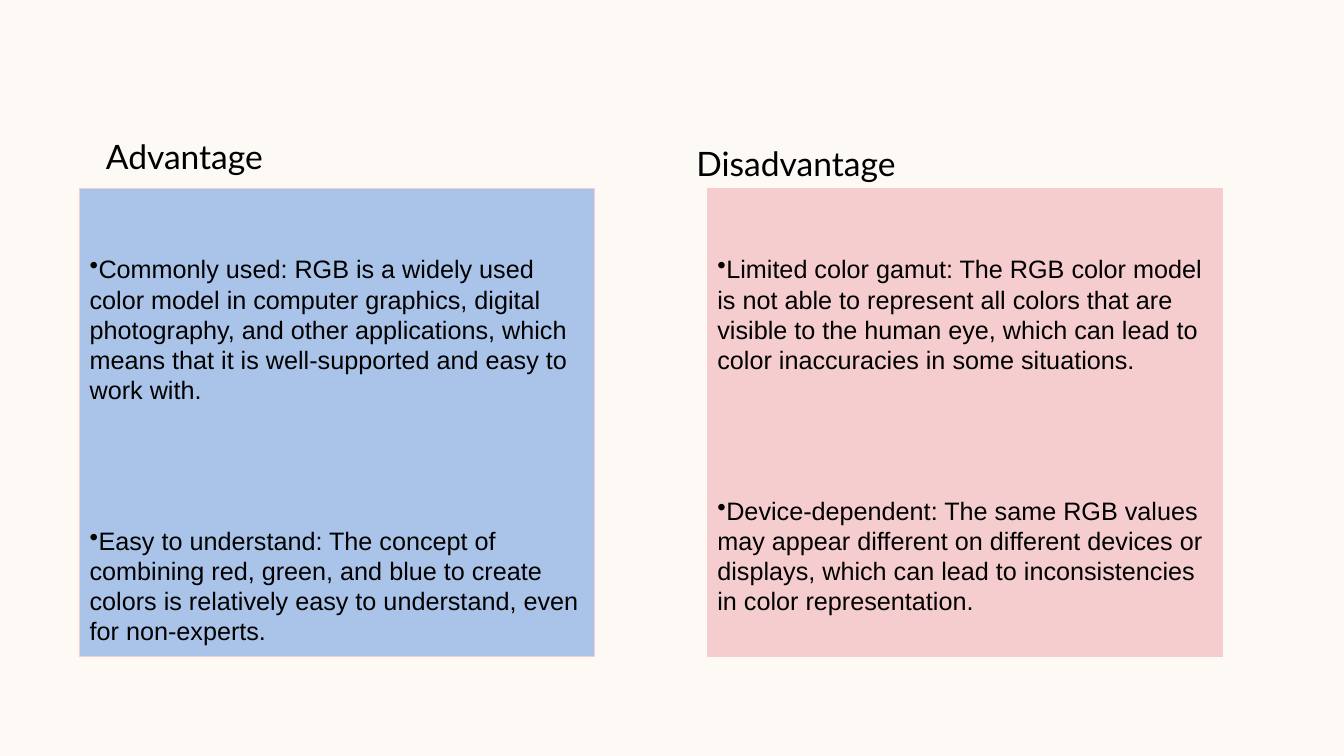
from pptx import Presentation, util as u
from pptx.dml.color import RGBColor
from pptx.enum import shapes, text
from pptx.oxml import parse_xml
from pptx.oxml.ns import nsdecls

PANEL_TOP, PANEL_WIDTH, PANEL_HEIGHT = 4.75, 12.98, 11.79
COLUMNS = [
    ("Advantage", 2.01, (0.41, -1.45), "AAC4E9", [
        "Commonly used: RGB is a widely used color model in computer graphics, digital photography, "
        "and other applications, which means that it is well-supported and easy to work with.",
        "Easy to understand: The concept of combining red, green, and blue to create colors is "
        "relatively easy to understand, even for non-experts.",
    ]),
    ("Disadvantage", 17.83, (-0.53, -1.27), "F5CDCE", [
        "Limited color gamut: The RGB color model is not able to represent all colors that are "
        "visible to the human eye, which can lead to color inaccuracies in some situations.",
        "Device-dependent: The same RGB values may appear different on different devices or "
        "displays, which can lead to inconsistencies in color representation.",
    ]),
]


def color(hex_string):
    """Return the colour of a hex string."""
    return RGBColor.from_string(hex_string)


def set_font(paragraph, name, size):
    """Set black type on a paragraph."""
    paragraph.font.name = name
    paragraph.font.size = u.Pt(size)
    paragraph.font.color.rgb = color("000000")


def add_heading(slide, left, top, words):
    """Add the heading of a column."""
    shape = slide.shapes.add_textbox(u.Cm(left), u.Cm(top), u.Cm(12.57), u.Cm(1.27))
    shape.text_frame.word_wrap = True
    paragraph = shape.text_frame.paragraphs[0]
    paragraph.text = words
    set_font(paragraph, "Lato", 24)


def add_panel(slide, left, top, width, height, fill, points):
    """Add a filled panel with bulleted points."""
    shape = slide.shapes.add_shape(
        shapes.MSO_SHAPE.RECTANGLE, u.Cm(left), u.Cm(top), u.Cm(width), u.Cm(height))
    shape.shadow.inherit = False
    shape.fill.solid()
    shape.fill.fore_color.rgb = color(fill)
    shape.line.color.rgb = color("F5CDCE")
    shape.line.width = u.Pt(0.75)
    frame = shape.text_frame
    frame.word_wrap = True
    frame.vertical_anchor = text.MSO_ANCHOR.TOP
    frame.margin_top = u.Cm(1.65)
    for index, point in enumerate(points):
        paragraph = frame.add_paragraph() if index else frame.paragraphs[0]
        paragraph.text = point
        paragraph.alignment = text.PP_ALIGN.LEFT
        paragraph.line_spacing = u.Pt(21.5)
        if index:
            paragraph.space_before = u.Pt(86.4)
        properties = paragraph._p.get_or_add_pPr()
        properties.set("marL", "0")
        properties.set("indent", "0")
        properties.append(parse_xml(f'<a:buChar {nsdecls("a")} char="•"/>'))
        set_font(paragraph, "Arial", 18)


def add_column(slide, left, top, heading, heading_offset, fill, points):
    """Add a panel and the heading above it."""
    add_panel(slide, left, top, PANEL_WIDTH, PANEL_HEIGHT, fill, points)
    add_heading(slide, left + heading_offset[0], top + heading_offset[1], heading)


def main():
    """Build and save the slide."""
    presentation = Presentation()
    presentation.slide_width, presentation.slide_height = u.Cm(33.87), u.Cm(19.05)
    slide = presentation.slides.add_slide(presentation.slide_layouts[6])
    slide.background.fill.solid()
    slide.background.fill.fore_color.rgb = color("FDFAF6")
    for heading, left, heading_offset, fill, points in COLUMNS:
        add_column(slide, left, PANEL_TOP, heading, heading_offset, fill, points)
    presentation.save("out.pptx")


if __name__ == "__main__":
    main()
